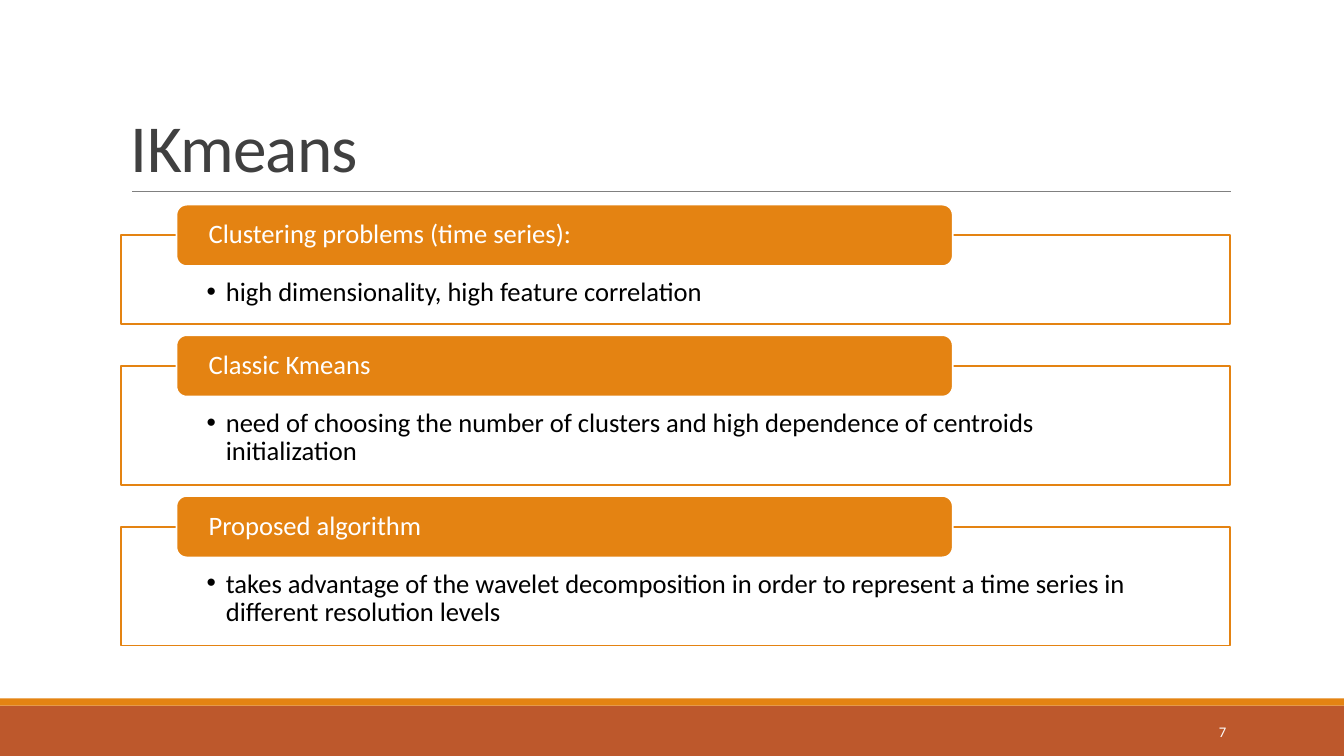
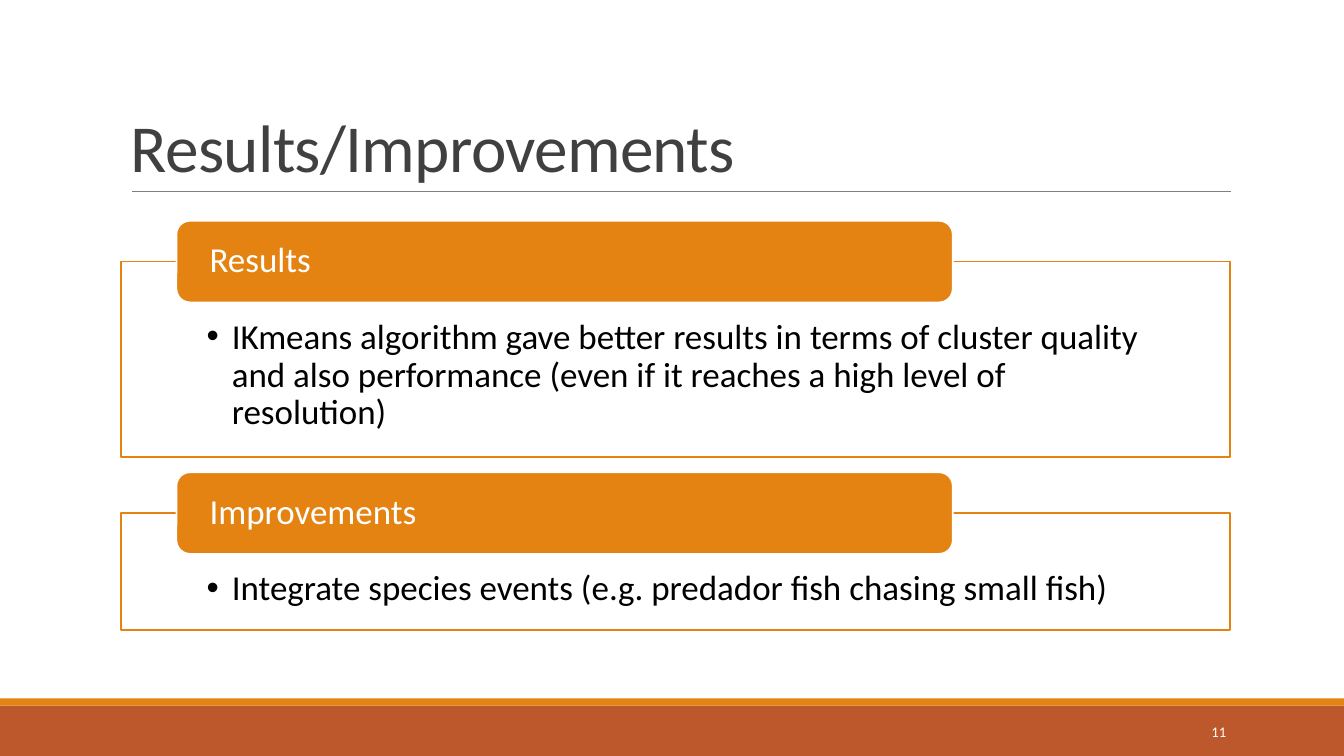
from collections import namedtuple

from lxml.etree import SubElement
from pptx import Presentation
from pptx.dml.color import RGBColor
from pptx.enum.shapes import MSO_CONNECTOR as Connector, MSO_SHAPE as Shape
from pptx.enum.text import MSO_ANCHOR as Anchor, PP_ALIGN as Align
from pptx.oxml.ns import qn
from pptx.util import Inches, Pt

# Colours
WHITE = RGBColor(0xFF, 0xFF, 0xFF)
BLACK = RGBColor(0x00, 0x00, 0x00)
ORANGE = RGBColor(0xE4, 0x83, 0x12)
RUST = RGBColor(0xBD, 0x58, 0x2C)
CHARCOAL = RGBColor(0x40, 0x40, 0x40)
GRAY = RGBColor(0x80, 0x80, 0x80)

# Shared measures in inches
WIDTH, HEIGHT = 13.33, 7.5
LEFT, CONTENT_WIDTH = 1.2, 11
TAB_LEFT, TAB_WIDTH = 1.75, 7.7

# Sizes of a list of tabbed frames; lengths in inches, font size in points
ListStyle = namedtuple(
    "ListStyle", "top tab_height gap font_size inset_top inset_bottom indent")
COMPACT = ListStyle(2.03, 0.61, 0.11, 19, 0.43, 0.15, 0.19)
LARGE = ListStyle(2.19, 0.81, 0.15, 25, 0.57, 0.19, 0.25)


class Deck:
    font = "Calibri"

    def __init__(self):
        self.presentation = Presentation()
        self.presentation.slide_width = Inches(WIDTH)
        self.presentation.slide_height = Inches(HEIGHT)
        self.slide = None

    def add_slide(self, title, number):
        layout = self.presentation.slide_layouts[6]
        self.slide = self.presentation.slides.add_slide(layout)
        # Footer bands and title rule
        self.box(Shape.RECTANGLE, (0, 7, WIDTH, 0.5), RUST)
        self.box(Shape.RECTANGLE, (0, 6.93, WIDTH, 0.07), ORANGE)
        self.rule(1.31, 12.21, 1.9)
        # Title and page number
        title_box = self.text_box((LEFT, 0.31, CONTENT_WIDTH, 1.59))
        run = self.add_text(title_box, title, 48, CHARCOAL,
                            anchor=Anchor.BOTTOM, spacing=0.85)
        run.font._element.set("spc", "-50")
        number_box = self.text_box((10.83, 7.06, 1.43, 0.4))
        self.add_text(number_box, str(number), 10.5, WHITE, align=Align.RIGHT)

    def box(self, kind, place, fill, line=None):
        shape = self.slide.shapes.add_shape(kind, *map(Inches, place))
        shape.shadow.inherit = False
        shape.fill.solid()
        shape.fill.fore_color.rgb = fill
        if line is None:
            shape.line.fill.background()
        else:
            shape.line.color.rgb = line
            shape.line.width = Pt(1.25)
        return shape

    def rule(self, start, end, y):
        connector = self.slide.shapes.add_connector(
            Connector.STRAIGHT, Inches(start), Inches(y), Inches(end), Inches(y))
        connector.line.color.rgb = GRAY
        connector.line.width = Pt(0.5)
        SubElement(connector._element.spPr, qn("a:effectLst"))

    def text_box(self, place):
        return self.slide.shapes.add_textbox(*map(Inches, place))

    def add_text(self, shape, text, size, color, anchor=Anchor.MIDDLE,
                 align=Align.LEFT, spacing=1.0, insets=(0.1, 0.05, 0.1, 0.05),
                 bullet_indent=None):
        frame = shape.text_frame
        frame.word_wrap = True
        frame.vertical_anchor = anchor
        (frame.margin_left, frame.margin_top,
         frame.margin_right, frame.margin_bottom) = map(Inches, insets)
        paragraph = frame.paragraphs[0]
        paragraph.alignment = align
        paragraph.line_spacing = spacing
        if bullet_indent is not None:
            self.bullet(paragraph, bullet_indent)
        run = paragraph.add_run()
        run.text = text
        run.font.name = self.font
        run.font.size = Pt(size)
        run.font.color.rgb = color
        return run

    def bullet(self, paragraph, indent):
        properties = paragraph._p.get_or_add_pPr()
        properties.set("marL", str(Inches(indent)))
        properties.set("indent", str(-Inches(indent)))
        SubElement(properties, qn("a:buFont")).set("typeface", "Arial")
        SubElement(properties, qn("a:buChar")).set("char", "•")

    def tabbed_list(self, style, items):
        """Stack frames whose top edge runs through the middle of a tab."""
        top = style.top
        for heading, body, height in items:
            frame_top = top + style.tab_height / 2
            frame = self.box(Shape.RECTANGLE,
                             (LEFT, frame_top, CONTENT_WIDTH, height), WHITE, ORANGE)
            self.add_text(frame, body, style.font_size, BLACK,
                          anchor=Anchor.TOP, spacing=0.9,
                          insets=(0.85, style.inset_top, 0.85, style.inset_bottom),
                          bullet_indent=style.indent)
            tab = self.box(Shape.ROUNDED_RECTANGLE,
                           (TAB_LEFT, top, TAB_WIDTH, style.tab_height),
                           ORANGE, WHITE)
            self.add_text(tab, heading, style.font_size, WHITE,
                          spacing=0.9, insets=(0.29, 0, 0.29, 0))
            top = frame_top + height + style.gap


def main():
    deck = Deck()

    # Algorithm
    deck.add_slide("IKmeans", 7)
    deck.tabbed_list(COMPACT, [
        ("Clustering problems (time series):",
         "high dimensionality, high feature correlation", 0.88),
        ("Classic Kmeans",
         "need of choosing the number of clusters and high dependence of "
         "centroids initialization", 1.18),
        ("Proposed algorithm",
         "takes advantage of the wavelet decomposition in order to represent "
         "a time series in different resolution levels", 1.18),
    ])

    # Findings
    deck.add_slide("Results/Improvements", 11)
    deck.tabbed_list(LARGE, [
        ("Results",
         "IKmeans algorithm gave better results in terms of cluster quality "
         "and also performance (even if it reaches a high level of resolution)",
         1.94),
        ("Improvements",
         "Integrate species events (e.g. predador fish chasing small fish)", 1.16),
    ])

    deck.presentation.save("out.pptx")


if __name__ == "__main__":
    main()
